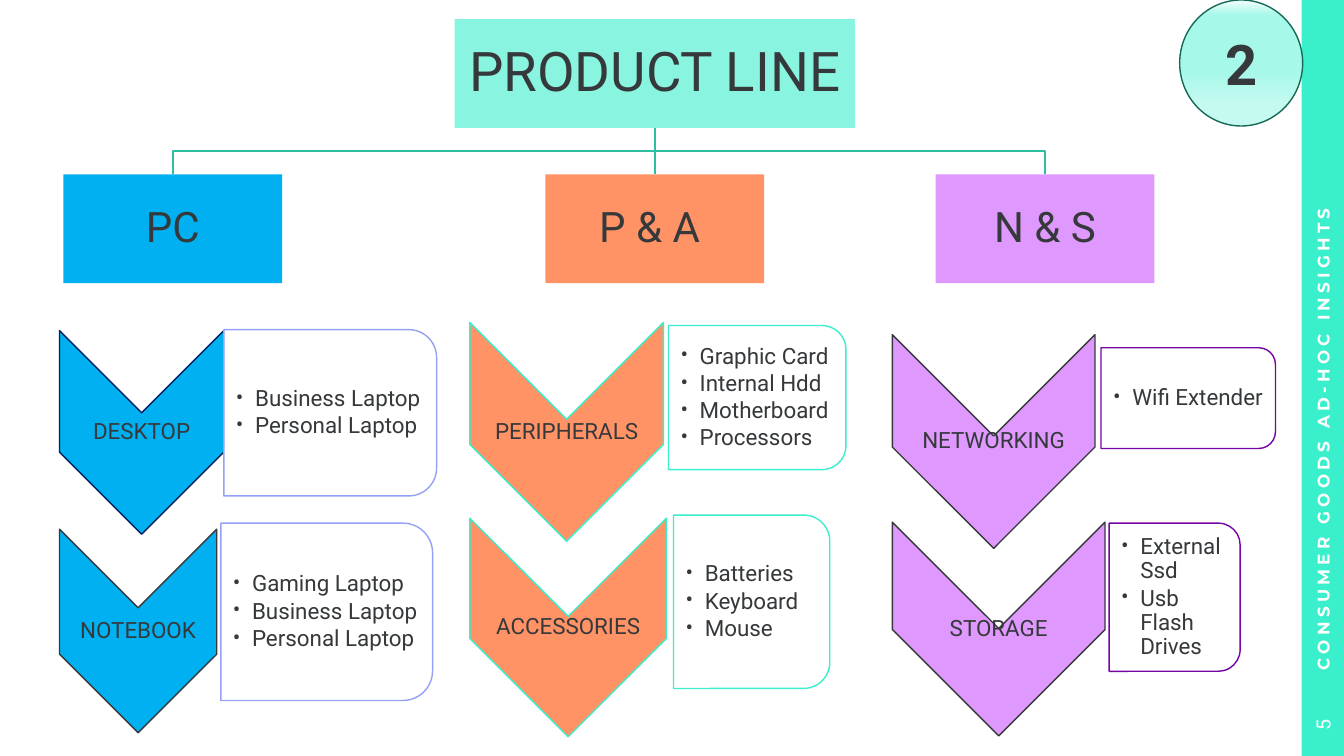
"""Build the product line hierarchy slide."""
from dataclasses import dataclass

from lxml.etree import SubElement
from pptx import Presentation
from pptx.dml.color import RGBColor
from pptx.enum.shapes import MSO_CONNECTOR, MSO_SHAPE
from pptx.enum.text import MSO_ANCHOR, PP_ALIGN
from pptx.oxml import parse_xml
from pptx.oxml.ns import nsdecls, qn
from pptx.shapes.autoshape import Shape
from pptx.slide import Slide
from pptx.util import Inches, Pt

WHITE = RGBColor(0xFF, 0xFF, 0xFF)
INK = RGBColor(0x36, 0x39, 0x3B)
TURQUOISE = RGBColor(0x3A, 0xEF, 0xCC)
MINT = RGBColor(0x89, 0xF5, 0xE0)
TEAL = RGBColor(0x2E, 0xBF, 0xA3)
DARK_TEAL = RGBColor(0x19, 0x69, 0x59)
BLUE = RGBColor(0x00, 0xB0, 0xF0)
NAVY = RGBColor(0x00, 0x20, 0x60)
PERIWINKLE = RGBColor(0x94, 0xA1, 0xF5)
ORANGE = RGBColor(0xFF, 0x93, 0x65)
LILAC = RGBColor(0xDF, 0x98, 0xFD)
PURPLE = RGBColor(0x75, 0x04, 0xA4)
BADGE_STOPS = ((0, "F5FEFC"), (12, "A6F8E8"), (56, "A6F8E8"), (82, "C4FAF0"))

BOX_HEIGHT = 1.08
BRANCH_TOP = 1.73
BRANCH_WIDTH = 2.17
CORNER_INSET = 0.29 / 6


@dataclass(frozen=True)
class Frame:
    left: float
    top: float
    width: float
    height: float

    @property
    def center(self) -> float:
        return self.left + self.width / 2

    def lengths(self) -> list[int]:
        return [Inches(value) for value in (self.left, self.top, self.width, self.height)]

    def turned(self) -> "Frame":
        shift = (self.width - self.height) / 2
        return Frame(self.left + shift, self.top - shift, self.height, self.width)


@dataclass(frozen=True)
class Branch:
    title: str
    left: float
    color: RGBColor
    card_line: RGBColor


@dataclass(frozen=True)
class Category:
    branch: Branch
    label: str
    line: RGBColor
    chevron: Frame
    card: Frame
    products: tuple[str, ...]


PC = Branch("PC", 0.63, BLUE, PERIWINKLE)
ACCESSORY = Branch("P & A ", 5.41, ORANGE, TURQUOISE)
NETWORK = Branch("N & S", 9.28, LILAC, PURPLE)
ROOT = Frame(4.51, 0.19, 3.97, BOX_HEIGHT)

CATEGORIES = (
    Category(PC, "DESKTOP", NAVY, Frame(0.59, 3.28, 1.63, 2.02),
             Frame(2.22, 3.27, 2.11, 1.65), ("Business Laptop", "Personal Laptop")),
    Category(PC, "NOTEBOOK", INK, Frame(0.59, 5.25, 1.56, 2.02),
             Frame(2.19, 5.19, 2.1, 1.76),
             ("Gaming Laptop", "Business Laptop", "Personal Laptop")),
    Category(ACCESSORY, "PERIPHERALS", TURQUOISE, Frame(4.66, 3.2, 1.92, 2.17),
             Frame(6.63, 3.23, 1.76, 1.43),
             ("Graphic Card", "Internal Hdd", "Motherboard", "Processors")),
    Category(ACCESSORY, "ACCESSORIES", TURQUOISE, Frame(4.66, 5.14, 1.95, 2.17),
             Frame(6.68, 5.11, 1.55, 1.72), ("Batteries", "Keyboard", "Mouse")),
    Category(NETWORK, "NETWORKING", INK, Frame(8.85, 3.32, 2.01, 2.12),
             Frame(10.92, 3.45, 1.73, 1), ("Wifi Extender",)),
    Category(NETWORK, "STORAGE", INK, Frame(8.85, 5.18, 2.11, 2.12),
             Frame(11, 5.19, 1.3, 1.47), ("External Ssd", "Usb Flash Drives")),
)


def add_shape(slide: Slide, kind: MSO_SHAPE, frame: Frame, fill: RGBColor,
              line: RGBColor | None = None, rotation: float = 0) -> Shape:
    shape = slide.shapes.add_shape(kind, *frame.lengths())
    shape.rotation = rotation
    shape.shadow.inherit = False
    shape.fill.solid()
    shape.fill.fore_color.rgb = fill
    if line is None:
        shape.line.fill.background()
    else:
        shape.line.color.rgb = line
        shape.line.width = Pt(1)
    return shape


def write(shape: Shape, lines: tuple[str, ...], size: float, color: RGBColor = INK,
          font: str = "Roboto", bold: bool = False, align: PP_ALIGN = PP_ALIGN.CENTER,
          margins: tuple[float, ...] = (0.01,) * 4, line_spacing: float = 0.9,
          bullets: bool = False, tracking: float = 0) -> None:
    left, top, right, bottom = (Inches(margin) for margin in margins)
    frame_format = {"word_wrap": True, "vertical_anchor": MSO_ANCHOR.MIDDLE,
                    "margin_left": left, "margin_top": top,
                    "margin_right": right, "margin_bottom": bottom}
    paragraph_format = {"alignment": align, "line_spacing": line_spacing,
                        "space_after": Pt(2.2 if bullets else 0)}
    font_format = {"name": font, "size": Pt(size), "bold": bold}
    for name, value in frame_format.items():
        setattr(shape.text_frame, name, value)
    for index, text in enumerate(lines):
        paragraph = (shape.text_frame.add_paragraph() if index
                     else shape.text_frame.paragraphs[0])
        for name, value in paragraph_format.items():
            setattr(paragraph, name, value)
        if bullets:
            properties = paragraph._p.get_or_add_pPr()
            properties.set("marL", str(Inches(0.19)))
            properties.set("indent", str(-Inches(0.19)))
            SubElement(properties, qn("a:buFont")).set("typeface", font)
            SubElement(properties, qn("a:buChar")).set("char", "•")
        run = paragraph.add_run()
        run.text = text
        for name, value in font_format.items():
            setattr(run.font, name, value)
        run.font.color.rgb = color
        if tracking:
            run._r.get_or_add_rPr().set("spc", str(round(tracking * 100)))


def draw_sidebar(slide: Slide) -> None:
    add_shape(slide, MSO_SHAPE.RECTANGLE, Frame(12.91, 0, 0.42, 7.5), TURQUOISE)
    caption = slide.shapes.add_textbox(*Frame(9.68, 3.23, 6.88, 0.42).lengths())
    write(caption, ("CONSUMER GOODS AD-HOC INSIGHTS",), 12, WHITE, "Montserrat", True,
          PP_ALIGN.LEFT, (0.23, 0.05, 0.1, 0.05), 1, tracking=3)
    number = slide.shapes.add_textbox(*Frame(12.81, 6.98, 0.62, 0.42).lengths())
    write(number, ("5",), 14, WHITE, margins=(0.1, 0.05, 0.1, 0.05), line_spacing=1)
    for text_box in (caption, number):
        text_box.rotation = 270


def draw_category(slide: Slide, category: Category) -> None:
    chevron, card = category.chevron, category.card
    add_shape(slide, MSO_SHAPE.CHEVRON, chevron.turned(), category.branch.color,
              category.line, 90)
    write(slide.shapes.add_textbox(*chevron.lengths()), (category.label,), 16)
    outline = add_shape(slide, MSO_SHAPE.ROUND_2_SAME_RECTANGLE, card.turned(), WHITE,
                        category.branch.card_line, 90)
    color = outline._element.spPr.find(qn("a:solidFill"))[0]
    SubElement(color, qn("a:alpha")).set("val", "90000")
    inset = CORNER_INSET * min(card.width, card.height)
    area = Frame(card.left, card.top + inset, card.width - inset, card.height - 2 * inset)
    write(slide.shapes.add_textbox(*area.lengths()), category.products, 16,
          align=PP_ALIGN.LEFT, margins=(0.12, 0.01, 0.01, 0.01), bullets=True)


def draw_hierarchy(slide: Slide) -> None:
    root = add_shape(slide, MSO_SHAPE.RECTANGLE, ROOT, MINT)
    write(root, ("PRODUCT LINE",), 39, margins=(0.03,) * 4)
    root_bottom = ROOT.top + ROOT.height
    bend = (root_bottom + BRANCH_TOP) / 2
    for branch in (PC, ACCESSORY, NETWORK):
        frame = Frame(branch.left, BRANCH_TOP, BRANCH_WIDTH, BOX_HEIGHT)
        box = add_shape(slide, MSO_SHAPE.RECTANGLE, frame, branch.color)
        write(box, (branch.title,), 30, margins=(0.02,) * 4)
        if branch is ACCESSORY:
            link = slide.shapes.add_connector(MSO_CONNECTOR.STRAIGHT, 0, 0, 0, 0)
            link.begin_connect(root, 2)
            link.end_connect(box, 0)
            SubElement(link._element.spPr, qn("a:effectLst"))
        else:
            start, *corners = [(Inches(x), Inches(y)) for x, y in (
                (ROOT.center, root_bottom), (ROOT.center, bend),
                (frame.center, bend), (frame.center, BRANCH_TOP))]
            builder = slide.shapes.build_freeform(*start)
            builder.add_line_segments(corners, close=False)
            link = builder.convert_to_shape()
            link.fill.background()
            link.shadow.inherit = False
        link.line.color.rgb = TEAL
        link.line.width = Pt(1)


def draw_badge(slide: Slide) -> None:
    badge = add_shape(slide, MSO_SHAPE.OVAL, Frame(11.7, 0, 1.22, 1.25), MINT, DARK_TEAL)
    stops = "".join(f'<a:gs pos="{position * 1000}"><a:srgbClr val="{color}"/></a:gs>'
                    for position, color in BADGE_STOPS)
    gradient = parse_xml(f'<a:gradFill {nsdecls("a")}><a:gsLst>{stops}</a:gsLst>'
                         '<a:lin ang="5400000" scaled="0"/></a:gradFill>')
    properties = badge._element.spPr
    properties.replace(properties.find(qn("a:solidFill")), gradient)
    write(badge, ("2",), 40, bold=True, margins=(0.1, 0.05, 0.1, 0.05), line_spacing=1)


def main() -> None:
    presentation = Presentation()
    presentation.slide_width = Inches(13.33)
    presentation.slide_height = Inches(7.5)
    slide = presentation.slides.add_slide(presentation.slide_layouts[6])
    draw_sidebar(slide)
    for category in CATEGORIES:
        draw_category(slide, category)
    draw_hierarchy(slide)
    draw_badge(slide)
    presentation.save("out.pptx")


if __name__ == "__main__":
    main()
